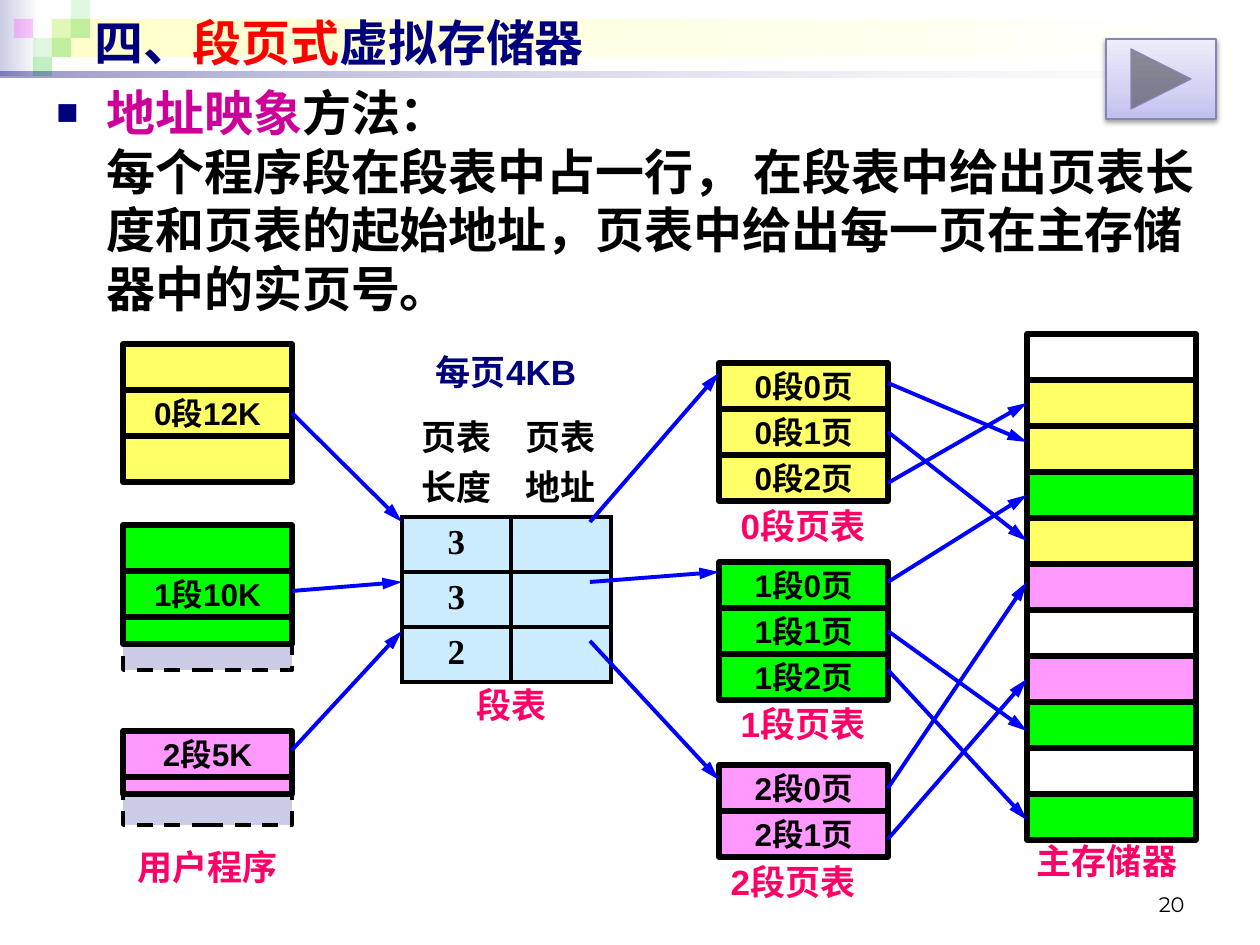
import pptx
import pptx.util
import pptx.dml.color
import pptx.enum.dml
import pptx.enum.shapes
import pptx.enum.text
import pptx.oxml
import pptx.oxml.ns
from lxml import etree

RGB = pptx.dml.color.RGBColor
SHAPE = pptx.enum.shapes.MSO_SHAPE
ALIGN = pptx.enum.text.PP_ALIGN
ANCHOR = pptx.enum.text.MSO_ANCHOR
qn = pptx.oxml.ns.qn

BLACK = RGB(0, 0, 0)
WHITE = RGB(0xFF, 0xFF, 0xFF)
NAVY = RGB(0, 0, 0x7D)
RED = RGB(0xFF, 0, 0)
PURPLE = RGB(0xCC, 0, 0x99)
PINK = RGB(0xFF, 0, 0x66)
BLUE = RGB(0, 0, 0xFF)
YELLOW = RGB(0xFF, 0xFF, 0x66)
GREEN = RGB(0, 0xFF, 0)
ROSE = RGB(0xFF, 0x99, 0xFF)
LAVENDER = RGB(0xCC, 0xCC, 0xE6)
PALE_BLUE = RGB(0xCC, 0xEC, 0xFF)
CREAM = RGB(0xFF, 0xFF, 0xCC)
LEAF = RGB(0x33, 0xCC, 0x33)
MAGENTA = RGB(0xFF, 0, 0xFF)
BUTTON_EDGE = RGB(0x86, 0x86, 0xB6)
BUTTON_STOPS = [(0, RGB(0xBF, 0xBF, 0xF0), 100), (35, RGB(0xD2, 0xD2, 0xF3), 100),
                (100, RGB(0xED, 0xED, 0xFB), 100)]

BOX_WIDTH, ROW = 169, 46
USER_X, PAGE_X, MEMORY_X, MEMORY_TOP = 123, 719, 1027, 334


def px(count):
    return pptx.util.Emu(round(count * 914400 / 126))


def write(frame, text, size=20, font="Arial", color=BLACK, bold=True, align=ALIGN.CENTER,
          anchor=ANCHOR.TOP, wrap=True, soft=False):
    frame.word_wrap = wrap
    frame.vertical_anchor = anchor
    para = frame.paragraphs[0]
    for words, tint in [(text, color)] if isinstance(text, str) else text:
        for index, piece in enumerate(words.split("\n")):
            if index and soft:
                para.add_line_break()
            elif index:
                para = frame.add_paragraph()
            span = para.add_run()
            span.text = piece
            span.font.size = pptx.util.Pt(size)
            span.font.name = font
            span.font.bold = bold
            span.font.color.rgb = tint
    for para in frame.paragraphs:
        para.alignment = align


def add_label(page, left, top, width, height, text, **style):
    box = page.shapes.add_textbox(px(left), px(top), px(width), px(height))
    write(box.text_frame, text, **style)
    return box


def add_box(page, left, top, width, height, fill=None, line=None, weight=3, kind=SHAPE.RECTANGLE):
    box = page.shapes.add_shape(kind, px(left), px(top), px(width), px(height))
    box.shadow.inherit = False
    if fill is None:
        box.fill.background()
    else:
        box.fill.solid()
        box.fill.fore_color.rgb = fill
    if line is None:
        box.line.fill.background()
    else:
        box.line.color.rgb = line
        box.line.width = pptx.util.Pt(weight)
    return box


def add_cell_box(page, left, top, fill, text="", height=ROW):
    box = add_box(page, left, top, BOX_WIDTH, height, fill, BLACK)
    if text:
        write(box.text_frame, text, size=18, anchor=ANCHOR.MIDDLE, wrap=False)
    return box


def add_missing_part(page, top, height):
    box = add_box(page, USER_X, top, BOX_WIDTH, height, LAVENDER, BLACK, 2.25)
    box.line.dash_style = pptx.enum.dml.MSO_LINE.DASH


def add_color(parent, color, opacity):
    element = etree.SubElement(parent, qn("a:srgbClr"), val=str(color))
    if opacity < 100:
        etree.SubElement(element, qn("a:alpha"), val=str(opacity * 1000))


def set_gradient(box, stops, angle=0):
    box.fill.gradient()
    box.fill.gradient_angle = angle
    stop_list = box._element.spPr.find(qn("a:gradFill")).find(qn("a:gsLst"))
    for stop in list(stop_list):
        stop_list.remove(stop)
    for position, color, opacity in stops:
        add_color(etree.SubElement(stop_list, qn("a:gs"), pos=str(position * 1000)), color, opacity)


def add_arrow(page, start, finish, boxes):
    arrow = page.shapes.add_connector(pptx.enum.shapes.MSO_CONNECTOR.STRAIGHT,
                                      *[px(value) for value in start + finish])
    arrow.line.color.rgb = BLUE
    arrow.line.width = pptx.util.Pt(2.25)
    etree.SubElement(arrow.line._get_or_add_ln(), qn("a:tailEnd"), type="triangle", w="med", len="lg")
    etree.SubElement(arrow._element.spPr, qn("a:effectLst"))
    for box in boxes:
        middle = box.top + box.height // 2
        if abs(box.left + box.width - px(start[0])) < px(3) and abs(middle - px(start[1])) < px(3):
            arrow.begin_connect(box, 3)
        if abs(box.left - px(finish[0])) < px(3) and abs(middle - px(finish[1])) < px(3):
            arrow.end_connect(box, 1)


def add_banner(page):
    set_gradient(add_box(page, 0, 0, 39, 76), [(0, LAVENDER, 100), (100, WHITE, 100)])
    set_gradient(add_box(page, 52, 19, 1203, 38), [(0, CREAM, 100), (100, WHITE, 100)])
    for column, row, color, opacity in [(2, 1, LEAF, 15), (3, 0, LEAF, 15), (3, 1, LEAF, 30),
                                        (1, 2, LEAF, 15), (0, 1, MAGENTA, 20),
                                        (2, 2, LEAF, 30), (1, 3, LEAF, 30)]:
        tile = add_box(page, 14 + 19 * column, 19 * row, 19, 19, color)
        shade = tile._element.spPr.find(qn("a:solidFill")).find(qn("a:srgbClr"))
        etree.SubElement(shade, qn("a:alpha"), val=str(opacity * 1000))
    set_gradient(add_box(page, 0, 72, 1260, 6), [(0, NAVY, 40), (100, WHITE, 10)])


def add_title(page):
    title = page.shapes.title
    page.shapes._spTree.append(title._element)
    title.left, title.top, title.width, title.height = px(82), px(6), px(1134), px(72)
    write(title.text_frame, [("四、", NAVY), ("段页式", RED), ("虚拟存储器", NAVY)],
          size=28, align=ALIGN.LEFT, anchor=ANCHOR.MIDDLE)


def add_body(page):
    body = add_label(page, 44, 76, 1191, 258, [
        ("地址映象", PURPLE),
        ("方法：\n每个程序段在段表中占一行， 在段表中给出页表长度和页表的起始地址，"
         "页表中给出每一页在主存储器中的实页号。", BLACK)],
        size=28, font="Times New Roman", align=ALIGN.LEFT, soft=True)
    properties = body.text_frame.paragraphs[0]._p.get_or_add_pPr()
    properties.set("marL", str(px(50)))
    properties.set("indent", str(-px(50)))
    add_color(etree.SubElement(properties, qn("a:buClr")), NAVY, 100)
    etree.SubElement(properties, qn("a:buSzPct"), val="75000")
    etree.SubElement(properties, qn("a:buFont"), typeface="Arial")
    etree.SubElement(properties, qn("a:buChar"), char="■")


def set_borders(cell, sides):
    properties = cell._tc.get_or_add_tcPr()
    for side in sides:
        line = etree.SubElement(properties, qn("a:ln" + side), w=str(pptx.util.Pt(2.25)))
        add_color(etree.SubElement(line, qn("a:solidFill")), BLACK, 100)


def add_segment_table(page):
    table = page.shapes.add_table(4, 2, px(402), px(403), px(209), px(279)).table
    table.first_row = table.horz_banding = False
    for column, width in zip(table.columns, (109, 100)):
        column.width = px(width)
    for row, height in zip(table.rows, (114, 55, 55, 55)):
        row.height = px(height)
    rows = [("页表\n长度", "页表\n地址"), ("3", ""), ("3", ""), ("2", "")]
    for r, texts in enumerate(rows):
        for c, text in enumerate(texts):
            cell = table.cell(r, c)
            set_borders(cell, "LRTB" if r else "B")
            if r:
                cell.fill.solid()
                cell.fill.fore_color.rgb = PALE_BLUE
            else:
                cell.fill.background()
            if text:
                write(cell.text_frame, text, font="Times New Roman")


def add_button(page):
    button = add_box(page, 1106, 39, 110, 80, WHITE, BUTTON_EDGE, 0.75,
                     SHAPE.ACTION_BUTTON_FORWARD_OR_NEXT)
    set_gradient(button, BUTTON_STOPS, 90)
    effects = button._element.spPr.find(qn("a:effectLst"))
    shadow = etree.SubElement(effects, qn("a:outerShdw"), blurRad=str(pptx.util.Pt(3.1)),
                              dist=str(pptx.util.Pt(1.6)), dir="5400000", rotWithShape="0")
    add_color(shadow, BLACK, 38)


def main():
    deck = pptx.Presentation()
    deck.slide_width, deck.slide_height = px(1260), px(945)
    page = deck.slides.add_slide(deck.slide_layouts[5])
    add_banner(page)
    add_label(page, 903, 873, 294, 50, "20", size=12, font="Montserrat", bold=False,
              align=ALIGN.RIGHT, anchor=ANCHOR.BOTTOM)
    add_title(page)
    add_body(page)

    memory = [None, YELLOW, YELLOW, GREEN, YELLOW, ROSE, None, ROSE, GREEN, None, GREEN]
    boxes = [add_cell_box(page, MEMORY_X, MEMORY_TOP + ROW * i, fill) for i, fill in enumerate(memory)]
    for segment, (top, count, fill) in enumerate([(363, 3, YELLOW), (562, 3, GREEN), (765, 2, ROSE)]):
        boxes += [add_cell_box(page, PAGE_X, top + ROW * i, fill, f"{segment}段{i}页")
                  for i in range(count)]

    add_missing_part(page, 644, 26)
    add_missing_part(page, 794, 31)
    for top, fill, text, height in [(344, YELLOW, "", ROW), (390, YELLOW, "0段12K", ROW),
                                    (436, YELLOW, "", ROW), (525, GREEN, "", ROW),
                                    (571, GREEN, "1段10K", ROW), (617, GREEN, "", 27),
                                    (731, ROSE, "2段5K", ROW), (777, ROSE, "", 17)]:
        boxes.append(add_cell_box(page, USER_X, top, fill, text, height))

    add_segment_table(page)
    for left, right, heights in [
            (292, 402, [(413, 522), (591, 582), (750, 631)]),
            (590, 719, [(522, 373), (582, 572), (641, 780)]),
            (888, 1027, [(383, 442), (433, 542), (483, 403), (582, 493),
                         (631, 731), (670, 820), (790, 582), (839, 680)])]:
        for begin, end in heights:
            add_arrow(page, (left, begin), (right, end), boxes)

    for left, top, text, color in [(84, 839, "用户程序", PINK), (388, 677, "段表", PINK),
                                   (679, 498, "0段页表", PINK), (679, 696, "1段页表", PINK),
                                   (669, 854, "2段页表", PINK), (983, 833, "主存储器", PINK),
                                   (382, 344, "每页4KB", NAVY)]:
        add_label(page, left, top, 248, 54, text, color=color)
    add_button(page)
    deck.save("out.pptx")


if __name__ == "__main__":
    main()
